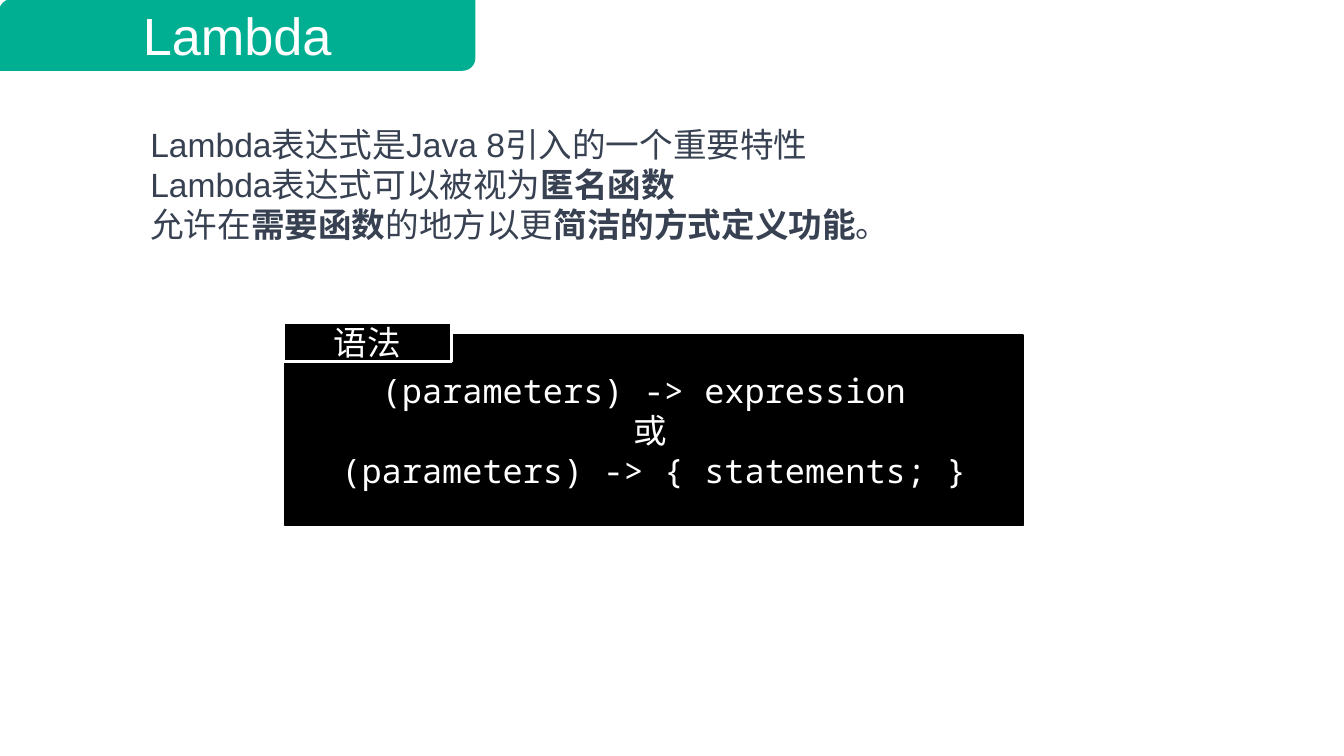
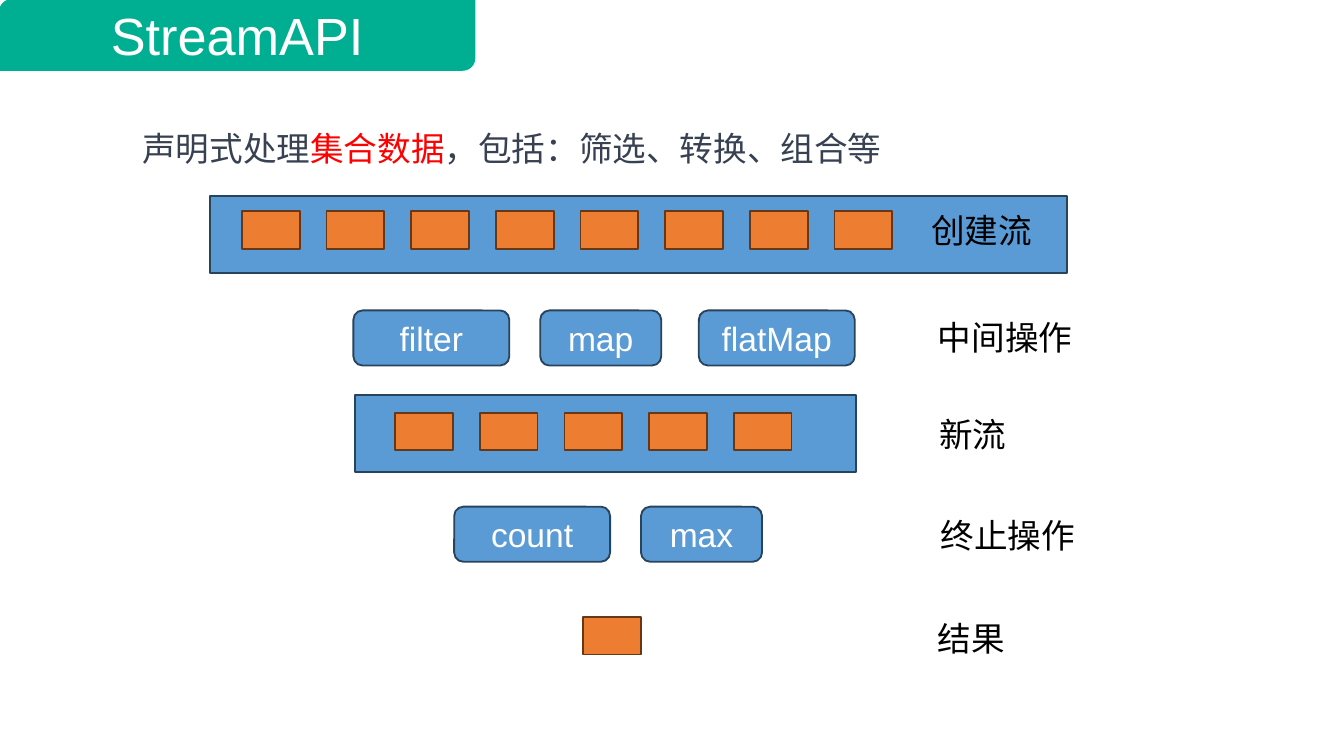
from dataclasses import dataclass
from typing import NamedTuple, Optional, Union

from pptx import Presentation
from pptx.dml.color import RGBColor
from pptx.enum.shapes import MSO_SHAPE
from pptx.enum.text import MSO_ANCHOR, MSO_AUTO_SIZE, PP_ALIGN
from pptx.shapes.autoshape import Shape
from pptx.shapes.shapetree import GroupShapes, SlideShapes
from pptx.slide import Slide
from pptx.util import Inches, Pt

RECT = MSO_SHAPE.RECTANGLE
ROUND = MSO_SHAPE.ROUNDED_RECTANGLE
BANNER = MSO_SHAPE.ROUND_2_DIAG_RECTANGLE
LEFT, CENTER = PP_ALIGN.LEFT, PP_ALIGN.CENTER
MIDDLE = MSO_ANCHOR.MIDDLE
GROW = MSO_AUTO_SIZE.SHAPE_TO_FIT_TEXT

GREEN = RGBColor(0x00, 0xAF, 0x92)
SLATE = RGBColor(0x37, 0x41, 0x51)
BLUE = RGBColor(0x5B, 0x9B, 0xD5)
NAVY = RGBColor(0x28, 0x44, 0x5D)
ORANGE = RGBColor(0xED, 0x7D, 0x31)
BROWN = RGBColor(0x68, 0x37, 0x15)
RED = RGBColor(0xFF, 0x00, 0x00)
BLACK = RGBColor(0x00, 0x00, 0x00)
WHITE = RGBColor(0xFF, 0xFF, 0xFF)

SANS, MONO = "Arial", "Noto Sans Mono"
WIDTH = Inches(10)
HEIGHT = WIDTH * 9 // 16
CELL_W, CELL_H, CELL_STEP = 0.43, 0.28, 0.63

Shapes = Union[SlideShapes, GroupShapes]


class Span(NamedTuple):
    """A stretch of text with its own weight or colour."""
    text: str
    bold: bool = False
    color: Optional[RGBColor] = None


class Area(NamedTuple):
    """A place on the slide, in inches."""
    left: float
    top: float
    width: float
    height: float


class Look(NamedTuple):
    """The preset, fill and outline of a shape."""
    kind: MSO_SHAPE
    fill: RGBColor
    line: RGBColor
    weight: float = 1


@dataclass(frozen=True)
class Step:
    """A named method button."""
    name: str
    left: float
    width: float


@dataclass(frozen=True)
class Stage:
    """One row of the stream: a bar of cells or a set of steps."""
    label: str
    place: Area
    top: float
    bar: Optional[Area] = None
    first: float = 0
    count: int = 0
    steps: tuple[Step, ...] = ()


Line = tuple[Span, ...]

TITLE = Look(BANNER, GREEN, GREEN)
CODE = Look(RECT, BLACK, BLACK)
TAG = Look(RECT, BLACK, WHITE, 1.5)
BAR = Look(RECT, BLUE, NAVY)
BUTTON = Look(ROUND, BLUE, NAVY)
CELL = Look(RECT, ORANGE, BROWN)

STAGES = (
    Stage("创建流", Area(6.83, 1.51, 0.97, 0.4), 1.57,
          bar=Area(1.56, 1.46, 6.38, 0.57), first=1.8, count=8),
    Stage("中间操作", Area(6.88, 2.31, 1.56, 0.4), 2.31,
          steps=(Step("filter", 2.63, 1.16), Step("map", 4.02, 0.9),
                 Step("flatMap", 5.2, 1.16))),
    Stage("新流", Area(6.89, 3.03, 1.56, 0.4), 3.07,
          bar=Area(2.64, 2.94, 3.73, 0.57), first=2.94, count=5),
    Stage("终止操作", Area(6.9, 3.78, 1.56, 0.4), 3.77,
          steps=(Step("count", 3.38, 1.16), Step("max", 4.77, 0.9))),
    Stage("结果", Area(6.88, 4.55, 0.97, 0.4), 4.59, first=4.34, count=1),
)


def write(shape: Shape, lines: tuple[Line, ...], *, size: float = 18,
          font: str = SANS, color: RGBColor = WHITE,
          align: PP_ALIGN = CENTER) -> None:
    """Fill a shape with one paragraph a line, breaking spans at newlines."""
    frame = shape.text_frame
    frame.word_wrap = True
    for index, line in enumerate(lines):
        para = frame.add_paragraph() if index else frame.paragraphs[0]
        para.alignment = align
        for span in line:
            for order, part in enumerate(span.text.split("\n")):
                if order:
                    para.add_line_break()
                run = para.add_run()
                run.text = part
                run.font.name = font
                run.font.size = Pt(size)
                run.font.bold = span.bold
                run.font.color.rgb = span.color or color


def draw(shapes: Shapes, area: Area, look: Look) -> Shape:
    """Draw a preset shape with its fill and outline."""
    shape = shapes.add_shape(look.kind, *map(Inches, area))
    shape.shadow.inherit = False
    shape.fill.solid()
    shape.fill.fore_color.rgb = look.fill
    shape.line.color.rgb = look.line
    shape.line.width = Pt(look.weight)
    shape.text_frame.vertical_anchor = MIDDLE
    return shape


def note(shapes: Shapes, area: Area, lines: tuple[Line, ...],
         color: RGBColor) -> None:
    """Place left-aligned text in a box that grows with it."""
    box = shapes.add_textbox(*map(Inches, area))
    write(box, lines, color=color, align=LEFT)
    box.text_frame.auto_size = GROW


def start(deck: Presentation, title: str) -> Slide:
    """Add a blank slide with its title banner."""
    slide = deck.slides.add_slide(deck.slide_layouts[6])
    banner = draw(slide.shapes, Area(0, 0, 3.53, 0.52), TITLE)
    write(banner, ((Span(title),),), size=28)
    return slide


def show(shapes: Shapes, stage: Stage) -> None:
    """Draw one stage of the stream with its label."""
    if stage.bar:
        draw(shapes, stage.bar, BAR)
    for index in range(stage.count):
        left = stage.first + index * CELL_STEP
        draw(shapes, Area(left, stage.top, CELL_W, CELL_H), CELL)
    for step in stage.steps:
        area = Area(step.left, stage.top, step.width, 0.41)
        write(draw(shapes, area, BUTTON), ((Span(step.name),),))
    note(shapes, stage.place, ((Span(stage.label),),), BLACK)


def lambda_slide(deck: Presentation) -> None:
    """Build the slide on lambda syntax."""
    shapes = start(deck, "Lambda").shapes
    note(shapes, Area(1.02, 0.87, 7.7, 1.01), (
        (Span("Lambda表达式是Java 8引入的一个重要特性"),),
        (Span("Lambda表达式可以被视为"), Span("匿名函数", True)),
        (Span("允许在"), Span("需要函数", True), Span("的地方以更"),
         Span("简洁的方式定义功能", True), Span("。")),
    ), SLATE)
    code = draw(shapes, Area(2.12, 2.49, 5.49, 1.42), CODE)
    write(code, (
        (Span("(parameters) -> expression \n或 "),),
        (Span("(parameters) -> { statements; }"),),
    ), font=MONO)
    tag = draw(shapes, Area(2.11, 2.4, 1.25, 0.29), TAG)
    write(tag, ((Span("语法"),),))


def stream_slide(deck: Presentation) -> None:
    """Build the slide on the stages of a stream."""
    shapes = start(deck, "StreamAPI").shapes
    note(shapes, Area(0.96, 0.9, 7.98, 0.4), (
        (Span("声明式处理"), Span("集合数据", color=RED),
         Span("，包括：筛选、转换、组合等")),
    ), SLATE)
    for stage in STAGES:
        whole = stage.bar or stage.steps
        show(shapes.add_group_shape().shapes if whole else shapes, stage)


def main() -> None:
    """Build and save the deck."""
    deck = Presentation()
    deck.slide_width = WIDTH
    deck.slide_height = HEIGHT
    lambda_slide(deck)
    stream_slide(deck)
    deck.save("out.pptx")


if __name__ == "__main__":
    main()
